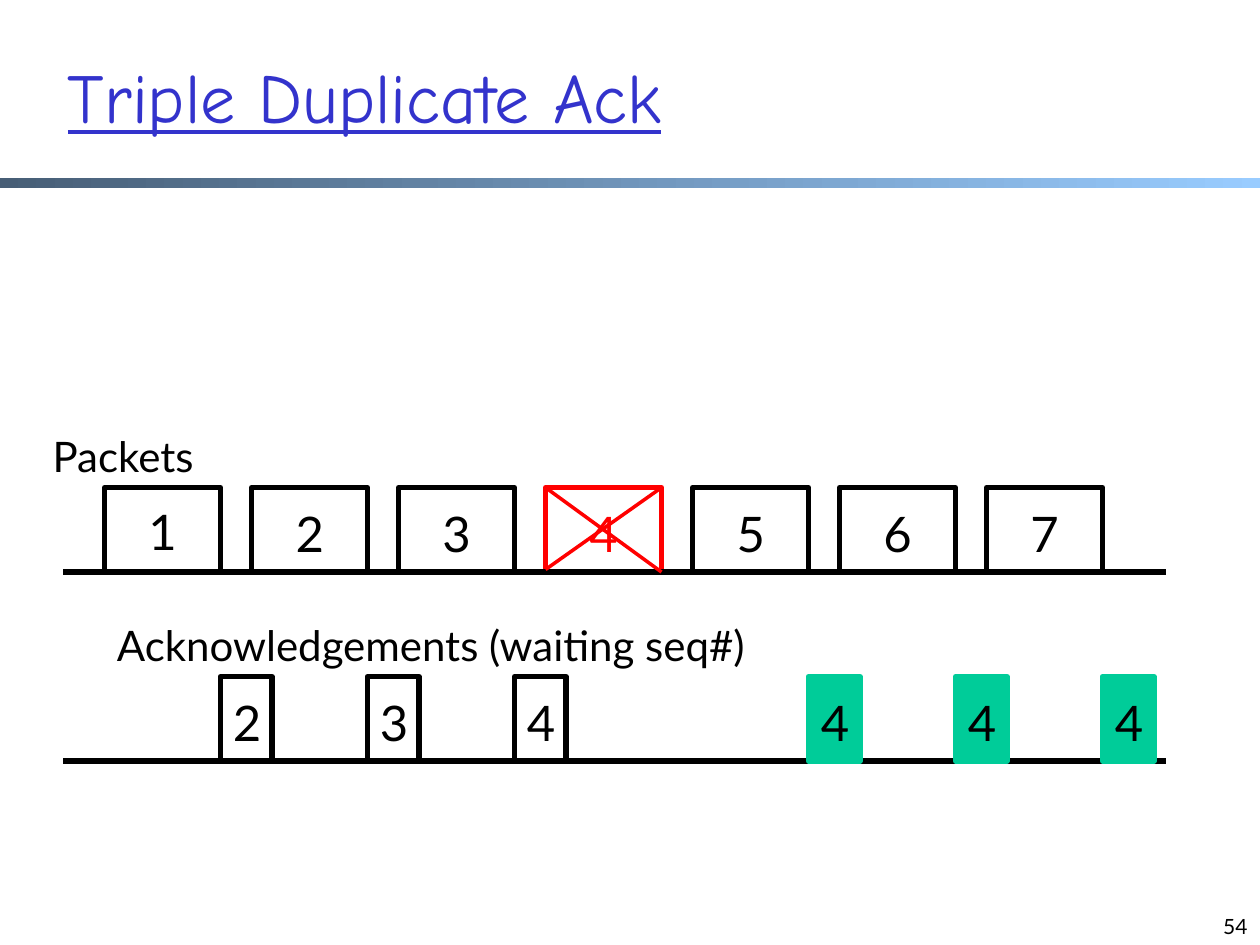
from lxml import etree
from pptx import Presentation
from pptx.dml.color import RGBColor
from pptx.enum import shapes, text
from pptx.oxml.ns import qn
from pptx.util import Inches, Pt

COLORS = {
    "black": "000000",
    "red": "FF0000",
    "green": "00CC99",
    "title": "3333CC",
    "bar_start": "475E76",
    "bar_end": "99CCFF",
}
PITCH = 7 / 6
PACKET_LEFT, PACKET_TOP = 0.83, 3.87
PACKET_WIDTH, BOX_HEIGHT = 0.92, 0.67
ACK_LEFT, ACK_TOP, ACK_WIDTH = 1.75, 5.37, 0.41
LOST_PACKET = 4
ACKS = {0: "2", 1: "3", 2: "4", 4: "4", 5: "4", 6: "4"}
FIRST_DUPLICATE = 4


def color(name):
    return RGBColor.from_string(COLORS[name])


def add_box(slide, left, top, width, height, line=None, fill=None):
    shape = slide.shapes.add_shape(
        shapes.MSO_SHAPE.RECTANGLE,
        Inches(left), Inches(top), Inches(width), Inches(height))
    shape.shadow.inherit = False
    if fill:
        shape.fill.solid()
        shape.fill.fore_color.rgb = color(fill)
    else:
        shape.fill.background()
    if line:
        shape.line.color.rgb = color(line)
        shape.line.width = Pt(3)
    else:
        shape.line.fill.background()
    return shape


def add_gradient_bar(slide):
    bar = add_box(slide, 0, 1.41, 10, 0.08)
    bar.fill.gradient()
    bar.fill.gradient_angle = 0
    for stop, name, position in zip(
            bar.fill.gradient_stops, ("bar_start", "bar_end"), (0, 1)):
        stop.color.rgb = color(name)
        stop.position = position


def add_text(slide, content, left, top, width, height, size,
             name="black", font="Lato", wrap=False):
    box = slide.shapes.add_textbox(
        Inches(left), Inches(top), Inches(width), Inches(height))
    frame = box.text_frame
    frame.word_wrap = wrap
    frame.text = content
    paragraph = frame.paragraphs[0]
    paragraph.font.size = Pt(size)
    paragraph.font.name = font
    paragraph.font.color.rgb = color(name)
    if wrap:
        frame.vertical_anchor = text.MSO_ANCHOR.BOTTOM
    else:
        frame.auto_size = text.MSO_AUTO_SIZE.SHAPE_TO_FIT_TEXT
    return paragraph


def add_line(slide, start, end, name="black", width=3):
    line = slide.shapes.add_connector(
        shapes.MSO_CONNECTOR.STRAIGHT,
        *(Inches(value) for value in (*start, *end)))
    line.line.color.rgb = color(name)
    line.line.width = Pt(width)
    etree.SubElement(line._element.spPr, qn("a:effectLst"))


def add_timeline(slide, top):
    add_line(slide, (0.5, top), (9.25, top))


def add_packet(slide, number):
    left = PACKET_LEFT + (number - 1) * PITCH
    name = "red" if number == LOST_PACKET else "black"
    add_box(slide, left, PACKET_TOP, PACKET_WIDTH, BOX_HEIGHT, line=name)
    offset = 0.06 if number == 1 else 0.08
    add_text(slide, str(number), left + 0.25, PACKET_TOP + offset,
             0.41, 0.57, 28, name)


def add_acknowledgement(slide, slot, number):
    left = ACK_LEFT + slot * PITCH
    duplicate = slot >= FIRST_DUPLICATE
    add_box(slide, left, ACK_TOP, ACK_WIDTH, BOX_HEIGHT,
            line="green" if duplicate else "black",
            fill="green" if duplicate else None)
    add_text(slide, number, left, ACK_TOP + 0.08, 0.41, 0.57, 28)


def cross_out_packet(slide, number):
    left = PACKET_LEFT + (number - 1) * PITCH
    right = left + PACKET_WIDTH
    bottom = PACKET_TOP + BOX_HEIGHT
    add_line(slide, (left, bottom - 0.02), (right, PACKET_TOP), "red", 2)
    add_line(slide, (left, PACKET_TOP), (right, bottom), "red", 2)


def main():
    presentation = Presentation()
    presentation.slide_width = Inches(10)
    presentation.slide_height = Inches(7.5)
    slide = presentation.slides.add_slide(presentation.slide_layouts[6])

    add_gradient_bar(slide)
    title = add_text(slide, "Triple Duplicate Ack", 0.44, 0.25, 8.5, 0.89,
                     40, "title", "Comic Neue", wrap=True)
    title.font.underline = True

    add_text(slide, "Packets", 0.32, 3.37, 1.32, 0.5, 24)
    for number in range(1, 8):
        add_packet(slide, number)
    add_timeline(slide, PACKET_TOP + BOX_HEIGHT)
    cross_out_packet(slide, LOST_PACKET)

    add_text(slide, "Acknowledgements (waiting seq#)",
             0.83, 4.87, 5.31, 0.5, 24)
    add_timeline(slide, ACK_TOP + BOX_HEIGHT)
    for slot, number in ACKS.items():
        add_acknowledgement(slide, slot, number)

    page = add_text(slide, "54", 7.67, 7, 2.33, 0.5, 12, wrap=True)
    page.alignment = text.PP_ALIGN.RIGHT

    presentation.save("out.pptx")


if __name__ == "__main__":
    main()
